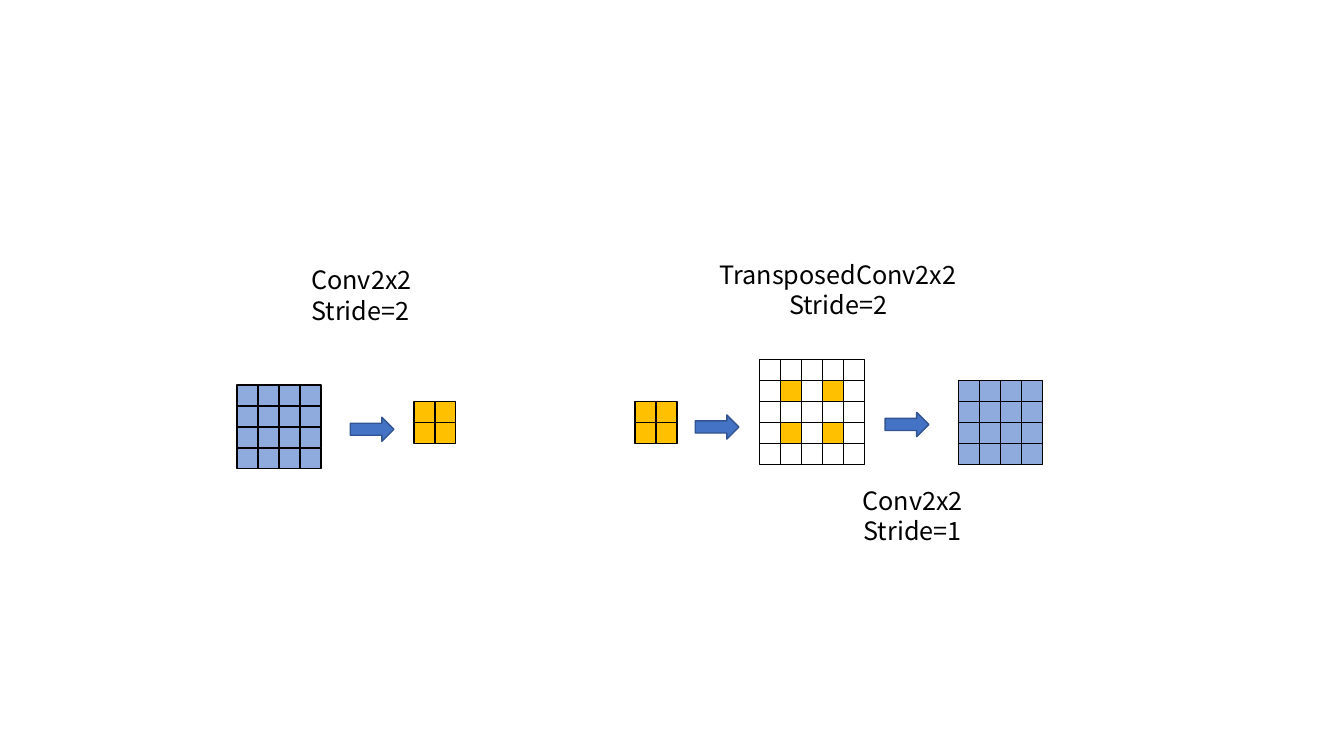
from pptx import Presentation
from pptx.dml.color import RGBColor
from pptx.enum import shapes, text
from pptx.util import Pt

BLUE, GOLD, WHITE, BLACK = "8FAADC", "FFC000", "FFFFFF", "000000"
CELL = 15


def paint(shape, fill, line):
    """Give a shape a solid fill and a thin outline without shadow."""
    shape.shadow.inherit = False
    shape.fill.solid()
    shape.fill.fore_color.rgb = RGBColor.from_string(fill)
    shape.line.color.rgb = RGBColor.from_string(line)
    shape.line.width = Pt(1)


def grid(slide, left, top, size, color):
    """Draw a square grid whose cell colours come from color(row, col)."""
    for row in range(size):
        for col in range(size):
            cell = slide.shapes.add_shape(
                shapes.MSO_SHAPE.RECTANGLE, Pt(left + col * CELL),
                Pt(top + row * CELL), Pt(CELL), Pt(CELL))
            paint(cell, color(row, col), BLACK)


def arrow(slide, left, top):
    """Draw a block arrow pointing right."""
    shape = slide.shapes.add_shape(
        shapes.MSO_SHAPE.RIGHT_ARROW, Pt(left), Pt(top), Pt(31.2), Pt(17.3))
    paint(shape, "4472C4", "325491")


def label(slide, left, top, width, lines, align):
    """Write a caption with one paragraph per line."""
    box = slide.shapes.add_textbox(Pt(left), Pt(top), Pt(width), Pt(51))
    frame = box.text_frame
    frame.word_wrap = True
    frame.auto_size = text.MSO_AUTO_SIZE.SHAPE_TO_FIT_TEXT
    frame.margin_top, frame.margin_bottom = Pt(5.6), Pt(2.4)
    frame.text = "\n".join(lines)
    for para in frame.paragraphs:
        para.alignment = align
        para.line_spacing = Pt(21.5)
        for run in para.runs:
            run.font.size = Pt(18)
            run.font.name = "Noto Sans CJK SC"
            run.font.color.rgb = RGBColor.from_string(BLACK)


def blue(row, col):
    """Colour every cell blue."""
    return BLUE


def gold(row, col):
    """Colour every cell gold."""
    return GOLD


def spread(row, col):
    """Colour the cells at odd rows and columns gold, the rest white."""
    return GOLD if row % 2 and col % 2 else WHITE


def main():
    """Build the slide and save it."""
    deck = Presentation()
    deck.slide_width, deck.slide_height = Pt(960), Pt(540)
    slide = deck.slides.add_slide(deck.slide_layouts[6])
    left, center = text.PP_ALIGN.LEFT, text.PP_ALIGN.CENTER

    label(slide, 215.3, 183.6, 96.5, ["Conv2x2 Stride=2"], left)
    grid(slide, 169.2, 274.9, 4, blue)
    arrow(slide, 250.2, 298)
    grid(slide, 295.6, 286.8, 2, gold)

    label(slide, 506.2, 180, 185, ["TransposedConv2x2 Stride=2"], center)
    grid(slide, 453.6, 286.8, 2, gold)
    arrow(slide, 496.6, 296.4)
    grid(slide, 542.6, 256.8, 5, spread)
    arrow(slide, 632.2, 294.6)
    grid(slide, 684.6, 271.8, 4, blue)
    label(slide, 559.4, 341.3, 185, ["Conv2x2", "Stride=1"], center)
    deck.save("out.pptx")


if __name__ == "__main__":
    main()
